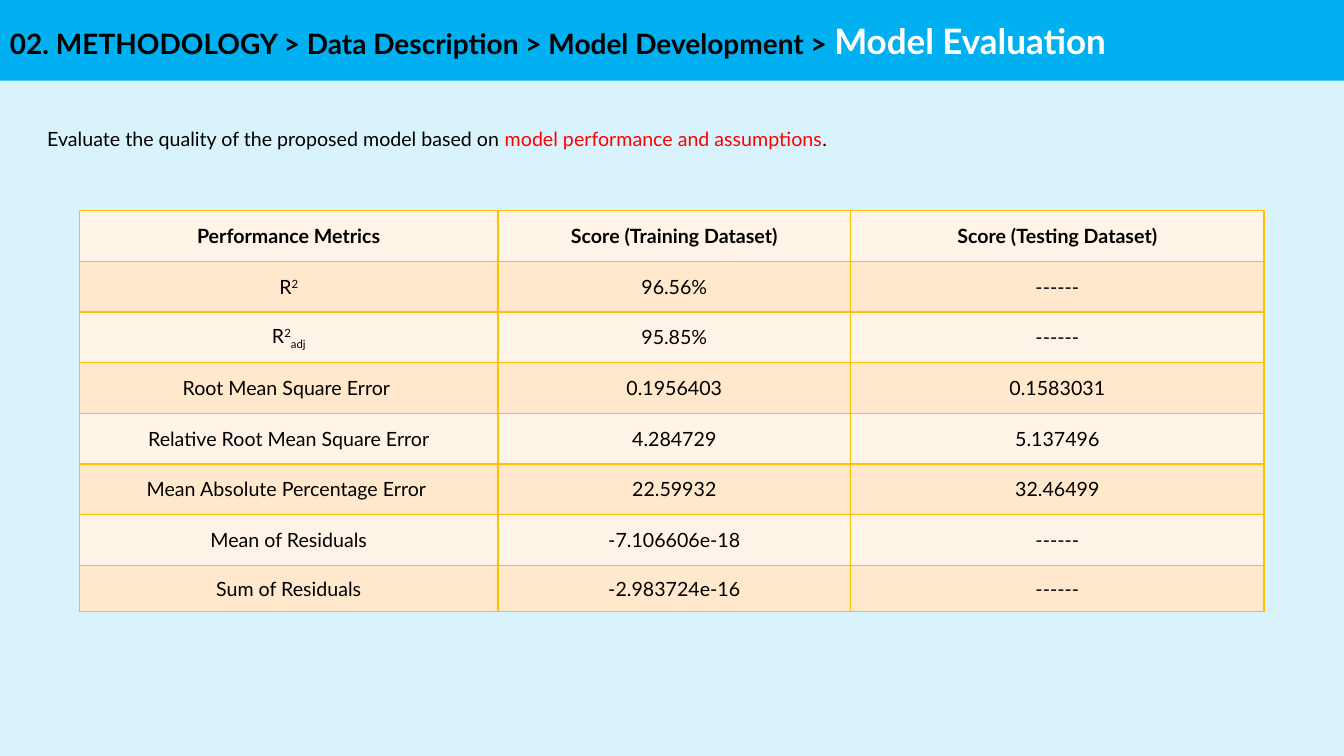
from pptx import Presentation
from pptx.dml.color import RGBColor
from pptx.enum.shapes import MSO_SHAPE
from pptx.enum.text import MSO_ANCHOR, PP_ALIGN
from pptx.oxml import parse_xml
from pptx.oxml.ns import nsdecls
from pptx.util import Pt

BLUE, PALE, BLACK, WHITE, RED = "00B0F0", "D9F3FD", "000000", "FFFFFF", "FF0000"
GOLD, CREAM, PEACH = "FFC000", "FFF4E7", "FFE8CC"
NONE = "------"
COLS = [298.8, 252, 295.2]
TALLS = [36.2] * 7 + [33]
ROWS = [
    ["Performance Metrics", "Score (Training Dataset)", "Score (Testing Dataset)"],
    [[("R", 0), ("2", 30)], "96.56%", NONE],
    [[("R", 0), ("2", 30), ("adj", -25)], "95.85%", NONE],
    ["Root Mean Square Error ", "0.1956403", "0.1583031"],
    ["Relative Root Mean Square Error", "4.284729", "5.137496"],
    ["Mean Absolute Percentage Error ", "22.59932", "32.46499"],
    ["Mean of Residuals", "-7.106606e-18", NONE],
    ["Sum of Residuals", "-2.983724e-16", NONE],
]


def paint(fill, color):
    """Give a fill one solid colour."""
    fill.solid()
    fill.fore_color.rgb = RGBColor.from_string(color)


def write(para, text, size=14, color=BLACK, bold=False, base=0):
    """Add one run, raised or lowered by base percent."""
    run = para.add_run()
    run.text = text
    font = run.font
    font.name, font.size, font.bold = "Lato", Pt(size), bold
    font.color.rgb = RGBColor.from_string(color)
    if base:
        run._r.get_or_add_rPr().set("baseline", str(base * 1000))


def header(slide, left, top, width, height):
    """Draw the title band with its trail of sections."""
    band = slide.shapes.add_shape(
        MSO_SHAPE.RECTANGLE, Pt(left), Pt(top), Pt(width), Pt(height))
    band.shadow.inherit = False
    paint(band.fill, BLUE)
    band.line.fill.background()
    band.text_frame.vertical_anchor = MSO_ANCHOR.MIDDLE
    para = band.text_frame.paragraphs[0]
    para.alignment = PP_ALIGN.LEFT
    trail = "02. METHODOLOGY > Data Description > Model Development > "
    write(para, trail, 20, bold=True)
    write(para, "Model Evaluation", 25, WHITE, True)


def intro(slide, left, top, width, height):
    """Write the sentence above the table."""
    box = slide.shapes.add_textbox(Pt(left), Pt(top), Pt(width), Pt(height))
    box.text_frame.word_wrap = True
    para = box.text_frame.paragraphs[0]
    write(para, "Evaluate the quality of the proposed model based on ")
    write(para, "model performance and assumptions", color=RED)
    write(para, ".")


def border(cell, color, width):
    """Line all four sides of a cell."""
    props = cell._tc.get_or_add_tcPr()
    for side in "LRTB":
        props.append(parse_xml(
            f'<a:ln{side} {nsdecls("a")} w="{Pt(width)}"><a:solidFill>'
            f'<a:srgbClr val="{color}"/></a:solidFill></a:ln{side}>'))


def scores(slide, left, top):
    """Build the table of metrics and scores."""
    table = slide.shapes.add_table(
        len(ROWS), len(COLS), Pt(left), Pt(top),
        Pt(sum(COLS)), Pt(sum(TALLS))).table
    for col, width in zip(table.columns, COLS):
        col.width = Pt(width)
    for i, (row, tall) in enumerate(zip(ROWS, TALLS)):
        table.rows[i].height = Pt(tall)
        for j, item in enumerate(row):
            cell = table.cell(i, j)
            border(cell, GOLD, 1)
            paint(cell.fill, PEACH if i % 2 else CREAM)
            cell.vertical_anchor = MSO_ANCHOR.MIDDLE
            para = cell.text_frame.paragraphs[0]
            para.alignment = PP_ALIGN.CENTER
            parts = [(item, 0)] if isinstance(item, str) else item
            for text, base in parts:
                write(para, text, bold=i == 0, base=base)


def main():
    """Build and save the slide."""
    deck = Presentation()
    deck.slide_width, deck.slide_height = Pt(960), Pt(540)
    slide = deck.slides.add_slide(deck.slide_layouts[6])
    paint(slide.background.fill, PALE)
    header(slide, 0, 0, 960, 57.6)
    intro(slide, 26.6, 87.1, 647.3, 24.5)
    scores(slide, 56.9, 150.5)
    deck.save("out.pptx")


if __name__ == "__main__":
    main()
